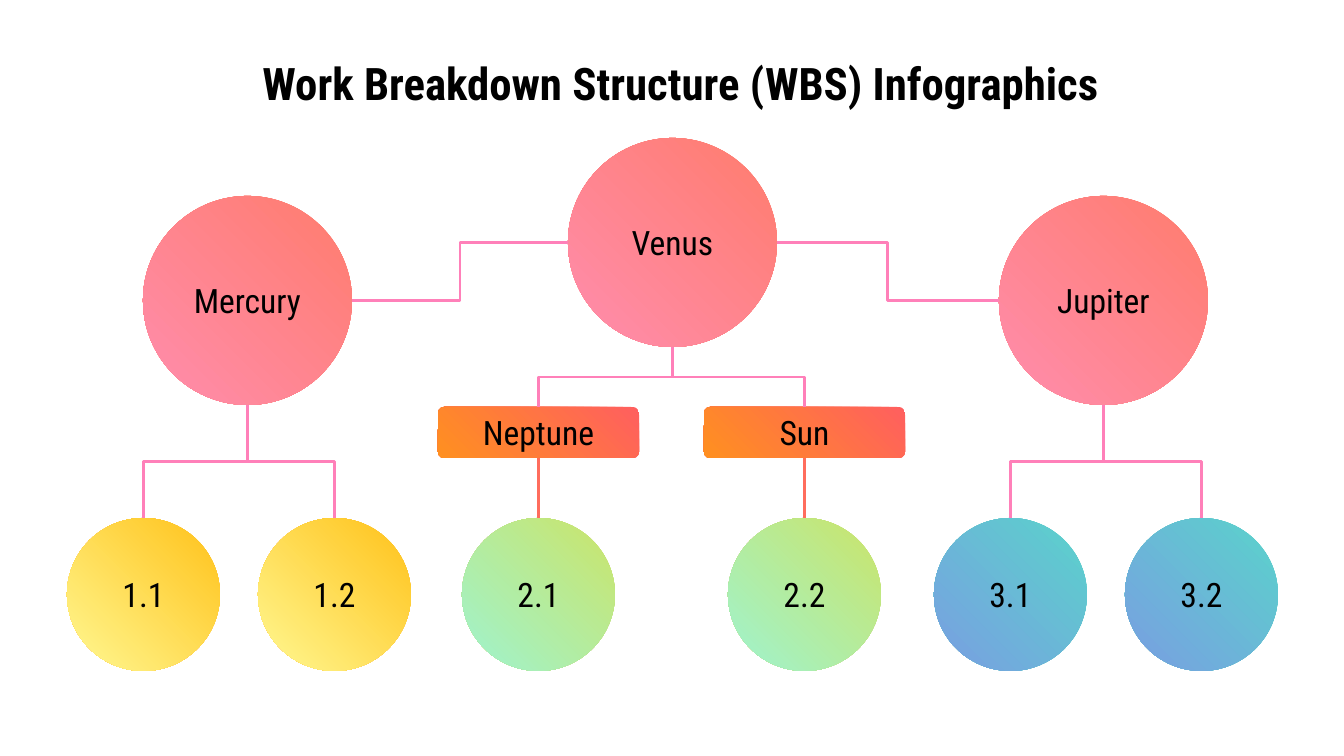
from lxml import etree
from pptx import Presentation
from pptx.dml.color import RGBColor
from pptx.enum.shapes import MSO_CONNECTOR, MSO_SHAPE
from pptx.enum.text import MSO_ANCHOR, MSO_AUTO_SIZE, PP_ALIGN
from pptx.oxml.ns import qn
from pptx.util import Pt

ELLIPSE = MSO_SHAPE.OVAL
ROUNDED = MSO_SHAPE.ROUNDED_RECTANGLE
ELBOW = MSO_CONNECTOR.ELBOW
STRAIGHT = MSO_CONNECTOR.STRAIGHT
MIDDLE = MSO_ANCHOR.MIDDLE
NO_AUTOFIT = MSO_AUTO_SIZE.NONE
CENTER = PP_ALIGN.CENTER
TOP, BOTTOM = 0, 2

BLACK = RGBColor(0x00, 0x00, 0x00)
PINK = RGBColor(0xFF, 0x80, 0xB9)
CORAL = RGBColor(0xFF, 0x6D, 0x5D)
ROSE = (RGBColor(0xFF, 0x7C, 0x6D), RGBColor(0xFF, 0x8D, 0xAD))
ORANGE = (RGBColor(0xFF, 0x5F, 0x5F), RGBColor(0xFF, 0x90, 0x20))
YELLOW = (RGBColor(0xFF, 0xC1, 0x19), RGBColor(0xFF, 0xF8, 0x92))
GREEN = (RGBColor(0xCB, 0xE4, 0x69), RGBColor(0x9F, 0xF3, 0xCF))
BLUE = (RGBColor(0x5A, 0xD3, 0xCB), RGBColor(0x79, 0x9E, 0xE2))

SLIDE_WIDTH, SLIDE_HEIGHT = 1344, 756
BIG, SMALL = 209, 153
BOX_WIDTH, BOX_HEIGHT = 201, 51
BRANCH_TOP, BOX_TOP, LEAF_TOP = 196, 407, 518


def px(length):
    return round(length * 914400 / 134.4)


class Diagram:
    """Holds the text and line style and the slide being drawn."""

    font = "Roboto Condensed"
    inset = px(13)
    line_width = Pt(1.5)

    def __init__(self, slide):
        self.slide = slide

    def set_text(self, shape, text, size, bold=False):
        frame = shape.text_frame
        frame.text = text
        frame.word_wrap = True
        frame.auto_size = NO_AUTOFIT
        frame.vertical_anchor = MIDDLE
        frame.margin_left = frame.margin_right = self.inset
        frame.margin_top = frame.margin_bottom = self.inset
        paragraph = frame.paragraphs[0]
        paragraph.alignment = CENTER
        font = paragraph.runs[0].font
        font.name, font.size, font.bold = self.font, Pt(size), bold
        font.color.rgb = BLACK

    def title(self, text, left, top, width, height):
        title = self.slide.shapes.title
        title.left, title.top = px(left), px(top)
        title.width, title.height = px(width), px(height)
        self.set_text(title, text, 24, bold=True)

    def node(self, kind, text, left, top, width, height, gradient):
        shape = self.slide.shapes.add_shape(
            kind, px(left), px(top), px(width), px(height))
        shape.shadow.inherit = False
        shape.line.fill.background()
        shape.fill.gradient()
        shape.fill.gradient_angle = 225
        for stop, color in zip(shape.fill.gradient_stops, gradient):
            stop.color.rgb = color
        self.set_text(shape, text, 18)
        return shape

    def circle(self, text, left, top, size, gradient):
        return self.node(ELLIPSE, text, left, top, size, size, gradient)

    def box(self, text, left):
        shape = self.node(ROUNDED, text, left, BOX_TOP, BOX_WIDTH, BOX_HEIGHT, ORANGE)
        shape.adjustments[0] = 0.12
        return shape

    def connector(self, kind, begin, end, color):
        connector = self.slide.shapes.add_connector(kind, *begin, *end)
        connector.line.color.rgb = color
        connector.line.width = self.line_width
        etree.SubElement(connector._element.spPr, qn("a:effectLst"))
        return connector

    def side_elbow(self, left_shape, right_shape):
        begin = (left_shape.left + left_shape.width,
                 left_shape.top + left_shape.height // 2)
        end = (right_shape.left, right_shape.top + right_shape.height // 2)
        self.connector(ELBOW, begin, end, PINK)

    def drop_elbow(self, parent, child):
        """Bend from the parent's bottom to the child's top, as a turned side elbow."""
        x1, y1 = parent.left + parent.width // 2, parent.top + parent.height
        x2, y2 = child.left + child.width // 2, child.top
        center_x, center_y = (x1 + x2) // 2, (y1 + y2) // 2
        half_drop, half_span = (y2 - y1) // 2, abs(x2 - x1) // 2
        goes_right = x2 > x1
        reach = half_drop if goes_right else -half_drop
        connector = self.connector(
            ELBOW, (center_x + reach, center_y - half_span),
            (center_x - reach, center_y + half_span), PINK)
        rotation = 270 if goes_right else 90
        connector._element.spPr.find(qn("a:xfrm")).set("rot", str(rotation * 60000))

    def drop_line(self, parent, child):
        connector = self.connector(STRAIGHT, (0, 0), (0, 0), CORAL)
        connector.begin_connect(parent, BOTTOM)
        connector.end_connect(child, TOP)


def main():
    presentation = Presentation()
    presentation.slide_width = px(SLIDE_WIDTH)
    presentation.slide_height = px(SLIDE_HEIGHT)
    slide = presentation.slides.add_slide(presentation.slide_layouts[5])
    diagram = Diagram(slide)
    diagram.title("Work Breakdown Structure (WBS) Infographics", 54, 40, 1253, 85)

    mercury = diagram.circle("Mercury", 143, BRANCH_TOP, BIG, ROSE)
    venus = diagram.circle("Venus", 568, 138, BIG, ROSE)
    jupiter = diagram.circle("Jupiter", 999, BRANCH_TOP, BIG, ROSE)
    diagram.side_elbow(mercury, venus)
    diagram.side_elbow(venus, jupiter)

    neptune = diagram.box("Neptune", 438)
    sun = diagram.box("Sun", 704)
    for box in (neptune, sun):
        diagram.drop_elbow(venus, box)

    leaves = [
        (mercury, "1.1", 67, YELLOW, diagram.drop_elbow),
        (mercury, "1.2", 258, YELLOW, diagram.drop_elbow),
        (neptune, "2.1", 462, GREEN, diagram.drop_line),
        (sun, "2.2", 728, GREEN, diagram.drop_line),
        (jupiter, "3.1", 934, BLUE, diagram.drop_elbow),
        (jupiter, "3.2", 1125, BLUE, diagram.drop_elbow),
    ]
    for parent, text, left, gradient, join in leaves:
        join(parent, diagram.circle(text, left, LEAF_TOP, SMALL, gradient))

    presentation.save("out.pptx")


if __name__ == "__main__":
    main()
